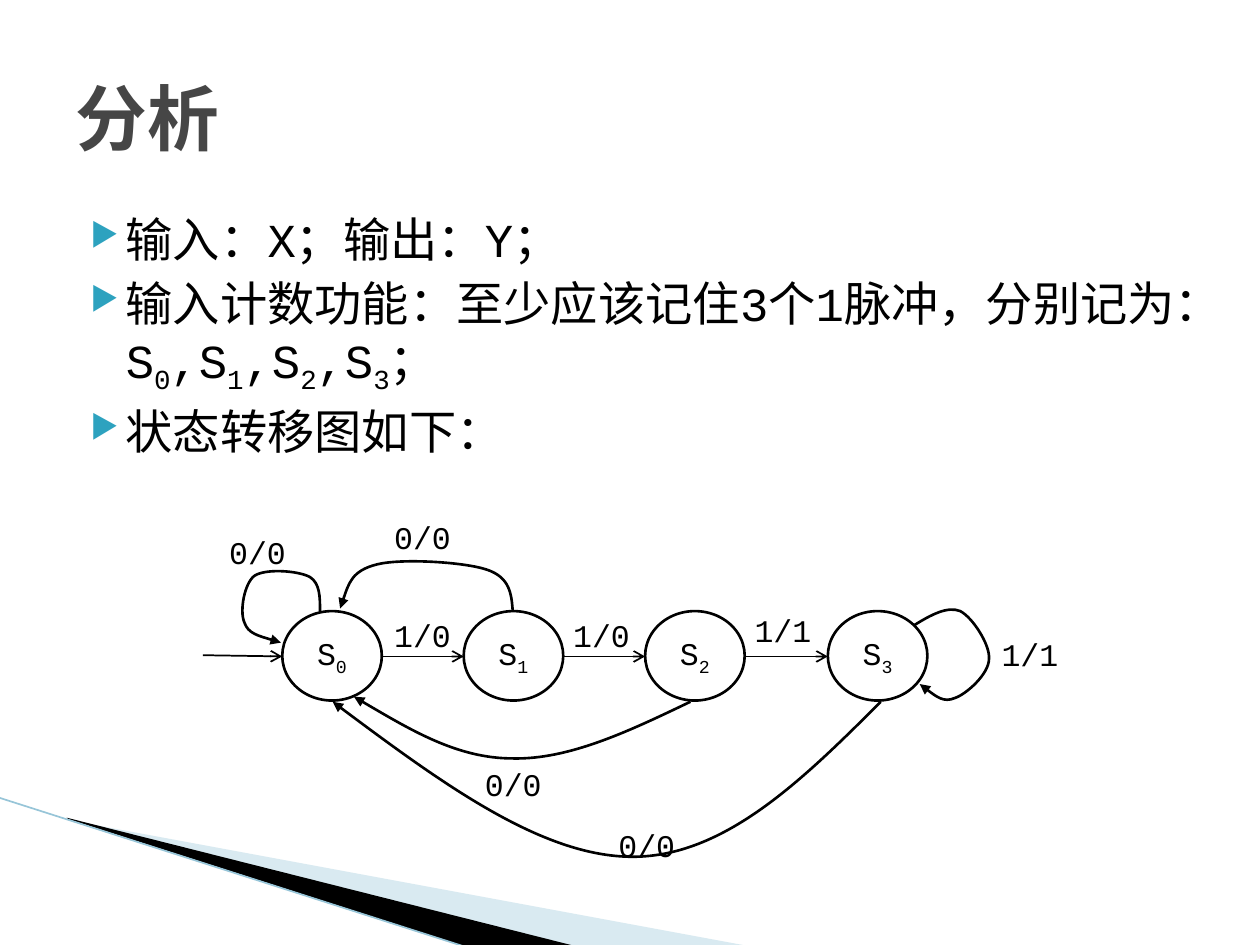
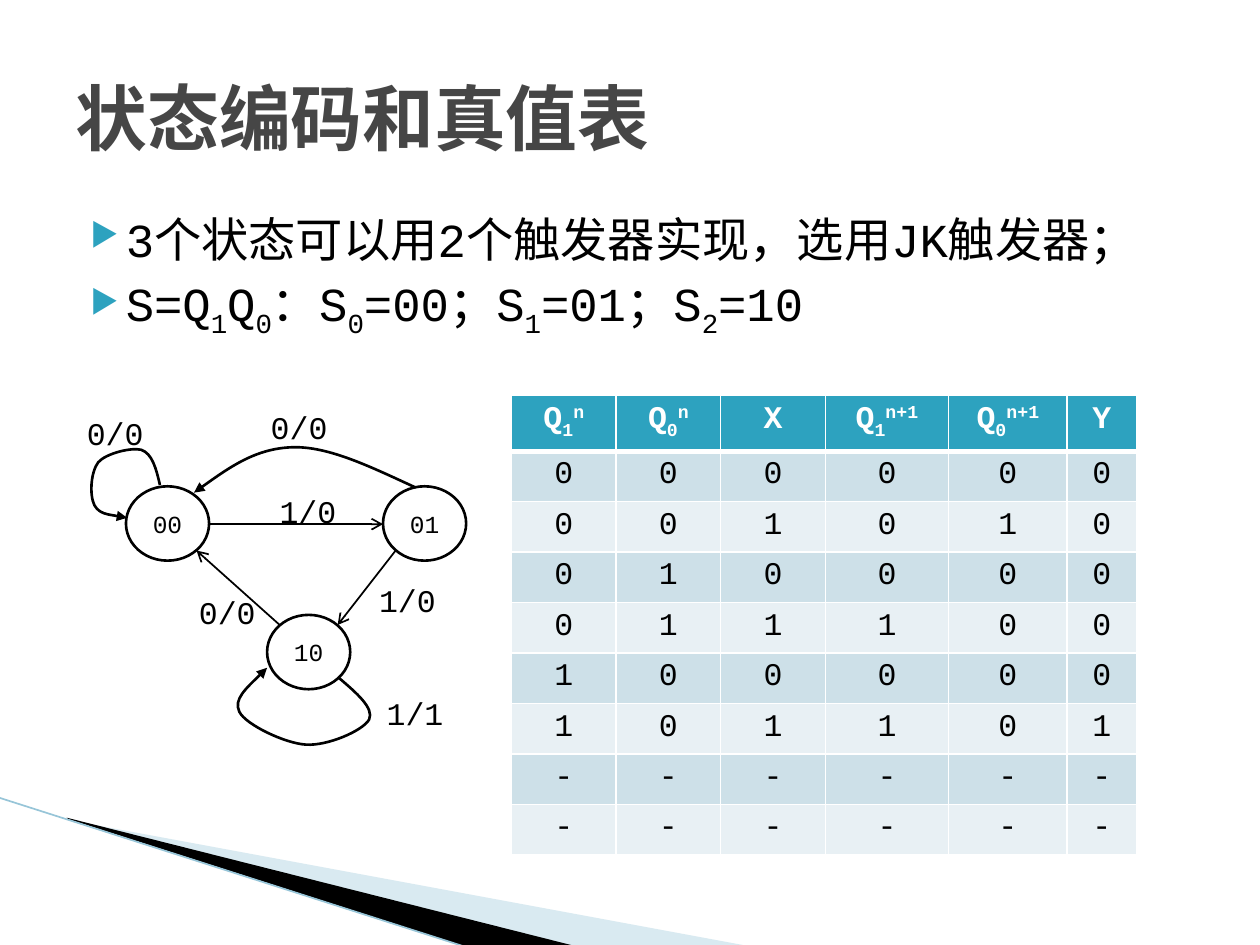
from itertools import pairwise

from lxml import etree
from pptx import Presentation
from pptx import util as u
from pptx.dml.color import RGBColor
from pptx.enum import shapes, text
from pptx.oxml.ns import qn

PX = 9144
FONT = "Courier New"
COLORS = {
    "ink": "000000",
    "title": "464646",
    "accent": "2DA2BF",
    "sweep": "A0CBDC",
    "edge": "97C5D8",
    "white": "FFFFFF",
    "row_dark": "CDE0E8",
    "row_light": "E8F0F4",
}
BASELINES = {"_": "-25000", "^": "30000"}


def px(*lengths):
    """Turn px lengths into EMU."""
    return [u.Emu(length * PX) for length in lengths]


def rgb(name):
    """Look up a palette colour."""
    return RGBColor.from_string(COLORS[name])


def add_xml(parent, tag, **attributes):
    """Append an XML child with attributes."""
    child = etree.SubElement(parent, qn(tag))
    for key, setting in attributes.items():
        child.set(key, setting)
    return child


def write(paragraph, marked, size, color="ink", bold=False):
    """Write text whose |_x| and |^x| parts are lowered and raised."""
    font = paragraph.font
    font.name, font.size, font.bold = FONT, u.Pt(size), bold
    font.color.rgb = rgb(color)
    for piece in marked.split("|"):
        if not piece:
            continue
        run = paragraph.add_run()
        baseline = BASELINES.get(piece[0])
        run.text = piece[1:] if baseline else piece
        if baseline:
            run._r.get_or_add_rPr().set("baseline", baseline)


def style_line(stroke, width, color="ink", arrowhead=None):
    """Colour an outline and give its end an arrowhead."""
    stroke.line.color.rgb = rgb(color)
    stroke.line.width = u.Pt(width)
    if arrowhead:
        add_xml(stroke.line._get_or_add_ln(), "a:tailEnd", type=arrowhead)


def add_straight(parts, start, end, width, color="ink", arrowhead=None):
    """Draw a straight connector."""
    connector = parts.add_connector(
        shapes.MSO_CONNECTOR.STRAIGHT, *px(*start, *end))
    style_line(connector, width, color, arrowhead)
    add_xml(connector._element.spPr, "a:effectLst")


def add_outline(parts, points, close):
    """Build a freeform through the points."""
    builder = parts.build_freeform(*points[0], scale=PX)
    builder.add_line_segments(points[1:], close=close)
    outline = builder.convert_to_shape()
    outline.shadow.inherit = False
    return outline


def add_band(parts, points, color, alpha=None):
    """Fill one corner band."""
    band = add_outline(parts, points, True)
    band.fill.solid()
    band.fill.fore_color.rgb = rgb(color)
    band.line.fill.background()
    if alpha:
        tint = band._element.spPr.find(".//" + qn("a:srgbClr"))
        add_xml(tint, "a:alpha", val=alpha)


def add_corner(slide):
    """Draw the sweeping bands in the lower left corner."""
    add_band(slide.shapes, [(55, 651), (595, 751), (456, 751), (55, 650)],
             "sweep", "40000")
    add_band(slide.shapes, [(53, 649), (457, 751), (372, 752), (54, 650)], "ink")
    add_straight(slide.shapes, (-1, 633), (371, 752), 0.95, "edge")


def add_title(slide, box, heading):
    """Place and write the title."""
    title = slide.shapes.title
    title.left, title.top, title.width, title.height = px(*box)
    frame = title.text_frame
    frame.auto_size = text.MSO_AUTO_SIZE.NONE
    frame.vertical_anchor = text.MSO_ANCHOR.MIDDLE
    frame.paragraphs[0].alignment = text.PP_ALIGN.LEFT
    write(frame.paragraphs[0], heading, 41, "title", True)


def add_points(slide, box, points):
    """Write the bulleted points."""
    frame = slide.shapes.add_textbox(*px(*box)).text_frame
    frame.word_wrap = True
    for index, point in enumerate(points):
        paragraph = frame.add_paragraph() if index else frame.paragraphs[0]
        if index:
            paragraph.space_before = u.Pt(4)
        props = paragraph._p.get_or_add_pPr()
        props.set("marL", str(40 * PX))
        props.set("indent", str(-28 * PX))
        add_xml(add_xml(props, "a:buClr"), "a:srgbClr", val=COLORS["accent"])
        add_xml(props, "a:buSzPct", val="68000")
        add_xml(props, "a:buChar", char="▶")
        write(paragraph, point, 27)


def add_state(parts, left, top, size, name, font_size):
    """Draw one state of a diagram."""
    state = parts.add_shape(shapes.MSO_SHAPE.OVAL, *px(left, top, *size))
    state.shadow.inherit = False
    state.fill.background()
    style_line(state, 1.5)
    frame = state.text_frame
    frame.margin_left = frame.margin_right = 0
    frame.vertical_anchor = text.MSO_ANCHOR.MIDDLE
    frame.paragraphs[0].alignment = text.PP_ALIGN.CENTER
    write(frame.paragraphs[0], name, font_size)


def add_curve(parts, points):
    """Draw a curved transition from Bézier points."""
    curve = add_outline(parts, points, False)
    curve.fill.background()
    style_line(curve, 1.5, arrowhead="triangle")
    route = curve._element.spPr.find(".//" + qn("a:path"))
    steps = route.findall(qn("a:lnTo"))
    for first in range(0, len(steps), 3):
        bend = add_xml(route, "a:cubicBezTo")
        for step in steps[first:first + 3]:
            bend.append(step[0])
            route.remove(step)


def add_diagram(slide, origin, states, size, font_size, arrows, curves, labels):
    """Draw a state diagram from its origin."""
    parts = slide.shapes.add_group_shape().shapes
    x, y = origin

    def place(points):
        return [(x + across, y + down) for across, down in points]

    for left, top, name in states:
        add_state(parts, x + left, y + top, size, name, font_size)
    for arrow in arrows:
        add_straight(parts, *place(arrow), 1, arrowhead="arrow")
    for curve in curves:
        add_curve(parts, place(curve))
    for left, top, label in labels:
        caption = parts.add_textbox(*px(x + left, y + top, 65, 40))
        caption.text_frame.word_wrap = False
        write(caption.text_frame.paragraphs[0], label, 18)


def add_truth_table(slide, origin, widths, row_height, rows):
    """Build the truth table."""
    table = slide.shapes.add_table(
        len(rows), len(widths),
        *px(*origin, sum(widths), row_height * len(rows))).table
    for column, width in zip(table.columns, widths):
        column.width = px(width)[0]
    for row_index, row in enumerate(rows):
        header = row_index == 0
        fill = "accent" if header else ("row_light", "row_dark")[row_index % 2]
        for column_index, entry in enumerate(row):
            cell = table.cell(row_index, column_index)
            props = cell._tc.get_or_add_tcPr()
            for side in "LRTB":
                thick = header and side == "B" or row_index == 1 and side == "T"
                border = add_xml(props, f"a:ln{side}",
                                 w=str(u.Pt(3 if thick else 1)))
                add_xml(add_xml(border, "a:solidFill"), "a:srgbClr",
                        val=COLORS["white"])
            cell.fill.solid()
            cell.fill.fore_color.rgb = rgb(fill)
            paragraph = cell.text_frame.paragraphs[0]
            paragraph.alignment = text.PP_ALIGN.CENTER
            write(paragraph, entry, 18, "white" if header else "ink", header)


def add_slide(deck, heading, points, points_height):
    """Add a slide with bands, title and points."""
    slide = deck.slides.add_slide(deck.slide_layouts[5])
    add_corner(slide)
    add_title(slide, (50, 30, 900, 125), heading)
    add_points(slide, (50, 162, 900, points_height), points)
    return slide


def build_analysis(deck):
    """Build the slide that analyses the states."""
    slide = add_slide(deck, "分析", [
        "输入：X；输出：Y；",
        "输入计数功能：至少应该记住3个1脉冲，分别记为："
        "S|_0|,S|_1|,S|_2|,S|_3|；",
        "状态转移图如下：",
    ], 221)
    lefts = [64 + 433 * index // 3 for index in range(4)]
    states = [(left, 85, f"S|_{index}") for index, left in enumerate(lefts)]
    arrows = [((start + 79, 121), (end, 121)) for start, end in pairwise(lefts)]
    arrows.append(((1, 120), (64, 121)))
    curves = [
        [(247, 85), (246, 72), (245, 58), (226, 52), (208, 46), (158, 43),
         (139, 48), (119, 53), (115, 68), (110, 83)],
        [(388, 157), (340, 180), (292, 203), (247, 202), (203, 202),
         (162, 177), (121, 153)],
        [(566, 96), (579, 88), (592, 81), (602, 85), (612, 90), (626, 112),
         (625, 123), (625, 135), (607, 151), (598, 154), (589, 158),
         (579, 150), (570, 143)],
        [(539, 157), (477, 219), (415, 280), (342, 280), (270, 280),
         (187, 219), (104, 157)],
        [(94, 85), (94, 74), (94, 63), (86, 58), (77, 53), (51, 51), (42, 57),
         (34, 63), (30, 85), (34, 94), (37, 103), (50, 106), (63, 110)],
    ]
    labels = [(143, 84, "1/0"), (285, 84, "1/0"), (429, 80, "1/1"),
              (143, 6, "0/0"), (215, 202, "0/0"), (625, 99, "1/1"),
              (321, 251, "0/0"), (12, 18, "0/0")]
    add_diagram(slide, (160, 400), states, (79, 71), 18, arrows, curves, labels)


def build_encoding(deck):
    """Build the slide with the state codes and truth table."""
    slide = add_slide(deck, "状态编码和真值表", [
        "3个状态可以用2个触发器实现，选用JK触发器；",
        "S=Q|_1|Q|_0|：S|_0|=00；S|_1|=01；S|_2|=10",
    ], 142)
    states = [(50, 86, "00"), (254, 86, "01"), (162, 188, "10")]
    arrows = [((116, 116), (254, 116)), ((264, 137), (218, 196)),
              ((172, 196), (106, 137))]
    curves = [
        [(77, 85), (74, 72), (71, 60), (62, 57), (54, 55), (34, 60), (28, 67),
         (22, 75), (21, 93), (25, 101), (29, 108), (40, 109), (51, 111)],
        [(280, 87), (245, 71), (211, 54), (182, 55), (153, 56), (129, 73),
         (104, 91)],
        [(219, 238), (233, 250), (247, 262), (243, 271), (238, 280),
         (210, 292), (193, 291), (176, 290), (145, 275), (140, 265),
         (135, 255), (149, 243), (162, 230)],
    ]
    labels = [(9, 24, "0/0"), (155, 19, "0/0"), (162, 86, "1/0"),
              (241, 156, "1/0"), (247, 246, "1/1"), (98, 166, "0/0")]
    add_diagram(slide, (50, 300), states, (66, 59), 14, arrows, curves, labels)
    header = ["Q|_1|^n", "Q|_0|^n", "X", "Q|_1|^n+1", "Q|_0|^n+1", "Y"]
    rows = ["000000", "001010", "010000", "011100", "100000", "101101",
            "------", "------"]
    add_truth_table(slide, (406, 314), (83, 83, 83, 98, 94, 55), 40,
                    [header, *rows])


def main():
    """Build and save the deck."""
    deck = Presentation()
    deck.slide_width, deck.slide_height = px(1000, 750)
    build_analysis(deck)
    build_encoding(deck)
    deck.save("out.pptx")


if __name__ == "__main__":
    main()
